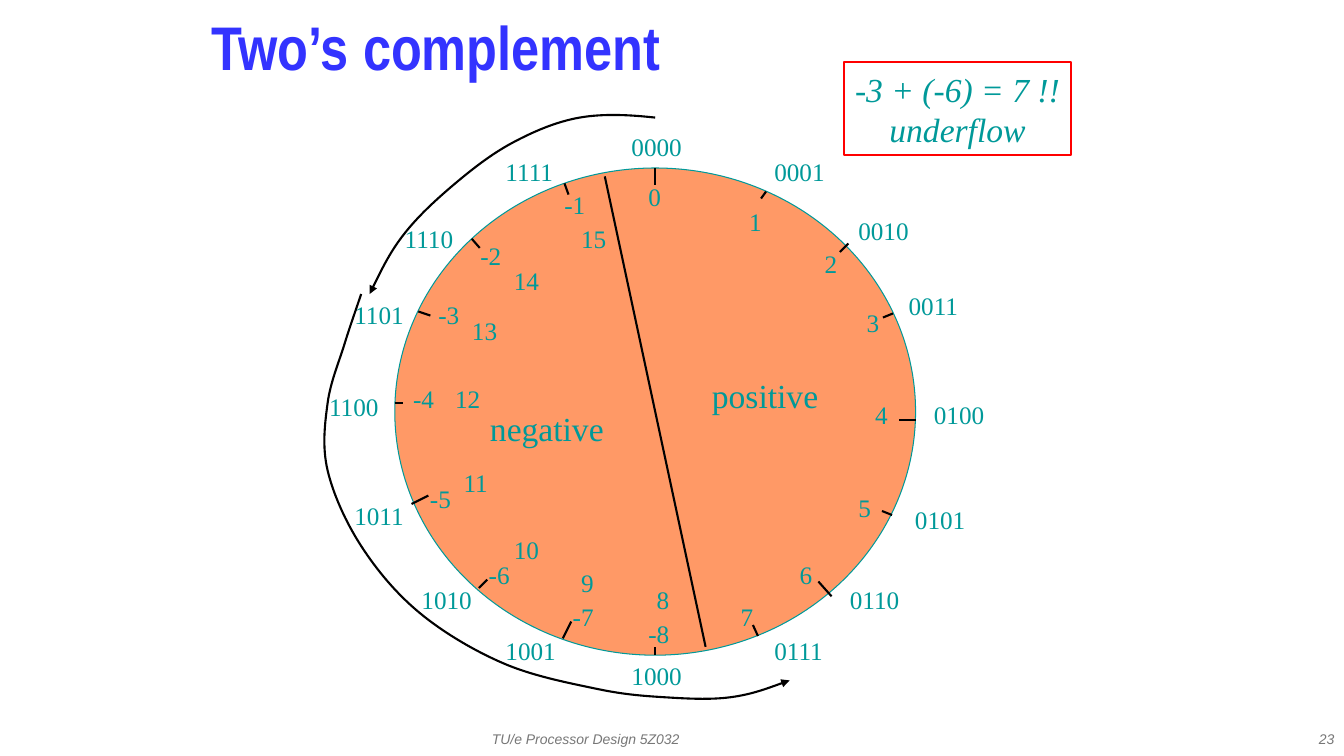
"""Build the slide that shows four-bit two's complement numbers on a circle."""
from dataclasses import dataclass
from typing import Optional

from lxml import etree
from pptx import Presentation
from pptx.dml.color import RGBColor
from pptx.enum.shapes import MSO_CONNECTOR, MSO_SHAPE
from pptx.enum.text import MSO_ANCHOR, MSO_AUTO_SIZE, PP_ALIGN
from pptx.oxml.ns import qn
from pptx.util import Pt

STRAIGHT = MSO_CONNECTOR.STRAIGHT
ELLIPSE, RECTANGLE = MSO_SHAPE.OVAL, MSO_SHAPE.RECTANGLE
TOP, MIDDLE = MSO_ANCHOR.TOP, MSO_ANCHOR.MIDDLE
LEFT, CENTER, RIGHT = PP_ALIGN.LEFT, PP_ALIGN.CENTER, PP_ALIGN.RIGHT
FIT_SHAPE = MSO_AUTO_SIZE.SHAPE_TO_FIT_TEXT

TEAL, INK, BLUE, GREY = "009999", "010000", "3333FF", "777777"
ORANGE, RED = "FF9966", "FF0000"
SERIF, SANS, NARROW = "Times New Roman", "Arial", "Arial Narrow"
LABEL_HEIGHT = 28.8
CODE_WIDTH, SIGNED_WIDTH = 50.4, 29.4
UNSIGNED_WIDTHS = {1: 24, 2: 32.4}

Point = tuple[float, float]
Box = tuple[float, float, float, float]


@dataclass(frozen=True)
class Style:
    size: float
    font: str = SERIF
    color: str = TEAL
    bold: bool = False
    italic: bool = False
    align: PP_ALIGN = LEFT
    anchor: MSO_ANCHOR = TOP
    spacing: float = 1.0


@dataclass(frozen=True)
class Value:
    code_at: Point
    unsigned_at: Point
    tick_start: Point
    tick_end: Point
    signed_at: Optional[Point] = None


NUMBER = Style(18)
HALF_NAME = Style(24, align=CENTER, anchor=MIDDLE)
EQUATION = Style(24, italic=True, align=CENTER, anchor=MIDDLE)
TITLE = Style(44, NARROW, BLUE, bold=True, anchor=MIDDLE, spacing=0.7)
FOOTER = Style(10, SANS, GREY, italic=True, anchor=MIDDLE)
PAGE = Style(10, SANS, GREY, italic=True, align=RIGHT, anchor=MIDDLE)

VALUES = [
    Value((444, 90), (456, 126), (468, 120), (468, 132)),
    Value((546, 108), (528, 144), (547.2, 136.8), (543.6, 141.8)),
    Value((606, 150), (582, 174), (606, 174), (600, 180)),
    Value((642, 204), (612, 216), (637.9, 223.9), (630.7, 226.8)),
    Value((660, 282), (618, 282), (654, 300), (642, 300)),
    Value((646.5, 357), (606, 348), (637.2, 367.9), (630, 365)),
    Value((600, 414), (564, 396), (594, 426), (584.6, 415.4)),
    Value((546, 450), (522, 426), (541.4, 454.3), (537.8, 446.4)),
    Value((444, 468), (462, 414), (468, 468), (468, 462), (456, 438)),
    Value((354, 450), (408, 402), (402, 456), (408, 444), (402, 426)),
    Value((294, 414), (360, 378), (342, 420), (348, 414), (342, 396)),
    Value((246, 354), (324, 330), (294, 360), (306, 354), (300, 342)),
    Value((228, 276), (318, 270), (282, 288), (288, 288), (288, 270)),
    Value((246, 210), (330, 222), (298.8, 222.5), (307.4, 225.4), (306, 210)),
    Value((282, 156), (360, 186), (337, 170.6), (342.7, 177.1), (336, 168)),
    Value((354, 108), (408, 156), (403.2, 131), (406.1, 139), (396, 132)),
]
MINUS_THREE_ARC = [(468, 84), (414, 84), (366, 102), (324, 132), (288, 168), (264, 210)]
MINUS_SIX_ARC = [(258, 210), (246, 246), (234, 288), (234, 336), (258, 390), (300, 438),
                 (360, 474), (426, 492), (474, 498), (522, 498), (564, 486)]


def rgb(color: str) -> RGBColor:
    return RGBColor.from_string(color)


def points(box: Box) -> list[Pt]:
    return [Pt(length) for length in box]


def write(shape, lines: list[str], style: Style, wrap: bool) -> None:
    frame = shape.text_frame
    frame.word_wrap = wrap
    frame.vertical_anchor = style.anchor
    for index, line in enumerate(lines):
        paragraph = frame.add_paragraph() if index else frame.paragraphs[0]
        paragraph.alignment = style.align
        paragraph.line_spacing = style.spacing
        run = paragraph.add_run()
        run.text = line
        run.font.size, run.font.name = Pt(style.size), style.font
        run.font.bold, run.font.italic = style.bold, style.italic
        run.font.color.rgb = rgb(style.color)


def add_text(slide, box: Box, text: str, style: Style) -> None:
    write(slide.shapes.add_textbox(*points(box)), [text], style, True)


def add_label(slide, at: Point, width: float, text: str) -> None:
    label = slide.shapes.add_textbox(*points((*at, width, LABEL_HEIGHT)))
    write(label, [text], NUMBER, False)
    label.text_frame.auto_size = FIT_SHAPE


def add_outline(slide, kind: MSO_SHAPE, box: Box, color: str, width: float):
    shape = slide.shapes.add_shape(kind, *points(box))
    shape.shadow.inherit = False
    shape.fill.background()
    shape.line.color.rgb = rgb(color)
    shape.line.width = Pt(width)
    return shape


def add_line(slide, start: Point, end: Point) -> None:
    line = slide.shapes.add_connector(STRAIGHT, *points((*start, *end)))
    line.line.color.rgb = rgb(INK)
    line.line.width = Pt(1.5)
    etree.SubElement(line._element.spPr, qn("a:effectLst"))


def midpoint(a: Point, b: Point) -> Point:
    return (a[0] + b[0]) / 2, (a[1] + b[1]) / 2


def spline(knots: list[Point]) -> list[Point]:
    """Return the Bezier points after the first knot of a smooth curve."""
    slopes = [((c[0] - a[0]) / 6, (c[1] - a[1]) / 6) for a, c in zip(knots, knots[2:])]
    before = [(x - dx, y - dy) for (x, y), (dx, dy) in zip(knots[1:], slopes)]
    after = [(x + dx, y + dy) for (x, y), (dx, dy) in zip(knots[1:], slopes)]
    leaving = [midpoint(knots[0], before[0]), *after]
    arriving = [*before, midpoint(knots[-1], after[-1])]
    return [point for triple in zip(leaving, arriving, knots[1:]) for point in triple]


def add_arc_arrow(slide, knots: list[Point]) -> None:
    builder = slide.shapes.build_freeform(*knots[0], scale=Pt(1))
    builder.add_line_segments(spline(knots), close=False)
    arc = builder.convert_to_shape()
    arc.shadow.inherit = False
    arc.fill.background()
    arc.line.color.rgb = rgb(INK)
    arc.line.width = Pt(1.5)
    etree.SubElement(arc.line._get_or_add_ln(), qn("a:tailEnd"), type="triangle")
    segments = list(arc._element.iter(qn("a:lnTo")))
    for first in range(0, len(segments), 3):
        curve = etree.Element(qn("a:cubicBezTo"))
        segments[first].addprevious(curve)
        for segment in segments[first:first + 3]:
            curve.append(segment[0])
            segment.getparent().remove(segment)


def add_value(slide, number: int, value: Value) -> None:
    add_label(slide, value.code_at, CODE_WIDTH, f"{number:04b}")
    text = str(number)
    add_label(slide, value.unsigned_at, UNSIGNED_WIDTHS[len(text)], text)
    if value.signed_at:
        add_label(slide, value.signed_at, SIGNED_WIDTH, str(number - len(VALUES)))
    add_line(slide, value.tick_start, value.tick_end)


def main() -> None:
    deck = Presentation()
    deck.slide_width, deck.slide_height = Pt(960), Pt(540)
    slide = deck.slides.add_slide(deck.slide_layouts[6])
    add_text(slide, (344.2, 516.2, 303.8, 23.8), "TU/e Processor Design 5Z032", FOOTER)
    add_text(slide, (760.3, 516.2, 200, 23.8), "23", PAGE)
    add_text(slide, (144, 0, 618, 78), "Two’s complement", TITLE)
    circle = add_outline(slide, ELLIPSE, (282, 120, 372, 348), TEAL, 0.75)
    circle.fill.solid()
    circle.fill.fore_color.rgb = rgb(ORANGE)
    for number, value in enumerate(VALUES):
        add_value(slide, number, value)
    for arc in (MINUS_THREE_ARC, MINUS_SIX_ARC):
        add_arc_arrow(slide, arc)
    underflow = add_outline(slide, RECTANGLE, (602.6, 44.6, 162.7, 66.2), RED, 1.5)
    write(underflow, ["-3 + (-6) = 7 !!", "underflow"], EQUATION, False)
    add_line(slide, (432, 126), (504, 462))
    add_text(slide, (501, 264, 91, 36), "positive", HALF_NAME)
    add_text(slide, (342.6, 288, 96, 36), "negative", HALF_NAME)
    deck.save("out.pptx")


if __name__ == "__main__":
    main()
